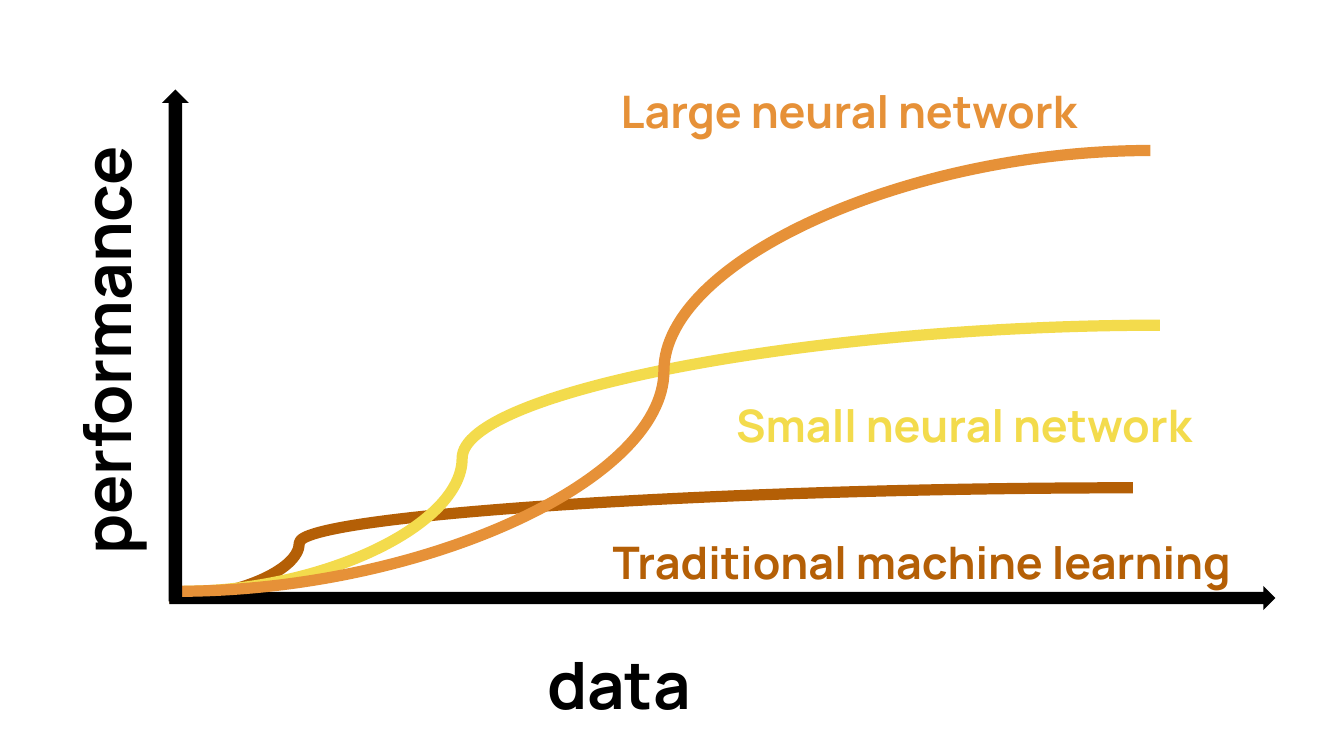
from pptx import Presentation
from pptx.dml.color import RGBColor
from pptx.enum import shapes, text
from pptx.oxml import ns, xmlchemy
from pptx.util import Inches, Pt

BLACK = RGBColor(0x00, 0x00, 0x00)
BROWN = RGBColor(0xB4, 0x5F, 0x06)
YELLOW = RGBColor(0xF3, 0xDB, 0x4C)
ORANGE = RGBColor(0xE6, 0x91, 0x38)
FONT = "Manrope"


def place(sp, left, top, width, height):
    sp.left, sp.top = Inches(left), Inches(top)
    sp.width, sp.height = Inches(width), Inches(height)


def write_label(sp, words, box, size, color, rotation=0):
    place(sp, *box)
    sp.rotation = rotation
    tf = sp.text_frame
    tf.text = words
    tf.word_wrap = True
    tf.auto_size = text.MSO_AUTO_SIZE.NONE
    tf.vertical_anchor = text.MSO_ANCHOR.BOTTOM
    tf.margin_left = tf.margin_right = Inches(0.1)
    tf.margin_top = tf.margin_bottom = Inches(0.1)
    p = tf.paragraphs[0]
    p.alignment = text.PP_ALIGN.LEFT
    p.space_after = Pt(10)
    font = p.runs[0].font
    font.name, font.size, font.bold = FONT, Pt(size), True
    font.color.rgb = color


def add_label(s, *args, **kwargs):
    write_label(s.shapes.add_textbox(0, 0, 0, 0), *args, **kwargs)


def add_axis(s, box, rotation=0):
    sp = s.shapes.add_shape(shapes.MSO_SHAPE.RIGHT_ARROW, 0, 0, 0, 0)
    place(sp, *box)
    sp.rotation = rotation
    sp.shadow.inherit = False
    sp.fill.solid()
    sp.fill.fore_color.rgb = BLACK
    sp.line.fill.background()


def add_curve(s, start, end, bend, color):
    """Draw an S-curve whose steep part lies at the fraction bend of its width."""
    cxn = s.shapes.add_connector(
        shapes.MSO_CONNECTOR.CURVE, *map(Inches, start + end))
    cxn.line.color.rgb = color
    cxn.line.width = Pt(6)
    sp_pr = cxn._element.spPr
    guide = xmlchemy.OxmlElement("a:gd")
    guide.set("name", "adj1")
    guide.set("fmla", f"val {round(bend * 100000)}")
    sp_pr.find(".//" + ns.qn("a:avLst")).append(guide)
    sp_pr.append(xmlchemy.OxmlElement("a:effectLst"))


def main():
    prs = Presentation()
    prs.slide_width = Inches(10)
    prs.slide_height = prs.slide_width * 9 // 16
    s = prs.slides.add_slide(prs.slide_layouts[5])

    add_curve(s, (1.26, 4.45), (8.43, 3.63), 0.135, BROWN)
    add_curve(s, (1.37, 4.4), (8.63, 2.42), 0.285, YELLOW)
    add_axis(s, (1.26, 4.36, 8.23, 0.18))
    add_curve(s, (1.32, 4.4), (8.56, 1.12), 0.5, ORANGE)
    add_axis(s, (-0.6, 2.47, 3.81, 0.2), rotation=270)

    write_label(s.shapes.title, "data", (3.97, 4.36, 3.97, 1.12), 35, BLACK)
    add_label(s, "performance", (-1.37, 1.68, 3.97, 1.12), 35, BLACK, rotation=270)
    for words, left, top, color in (
        ("Traditional machine learning", 4.46, 3.36, BROWN),
        ("Large neural network", 4.52, 0, ORANGE),
        ("Small neural network", 5.38, 2.34, YELLOW),
    ):
        add_label(s, words, (left, top, 5.27, 1.12), 24, color)

    prs.save("out.pptx")


if __name__ == "__main__":
    main()
